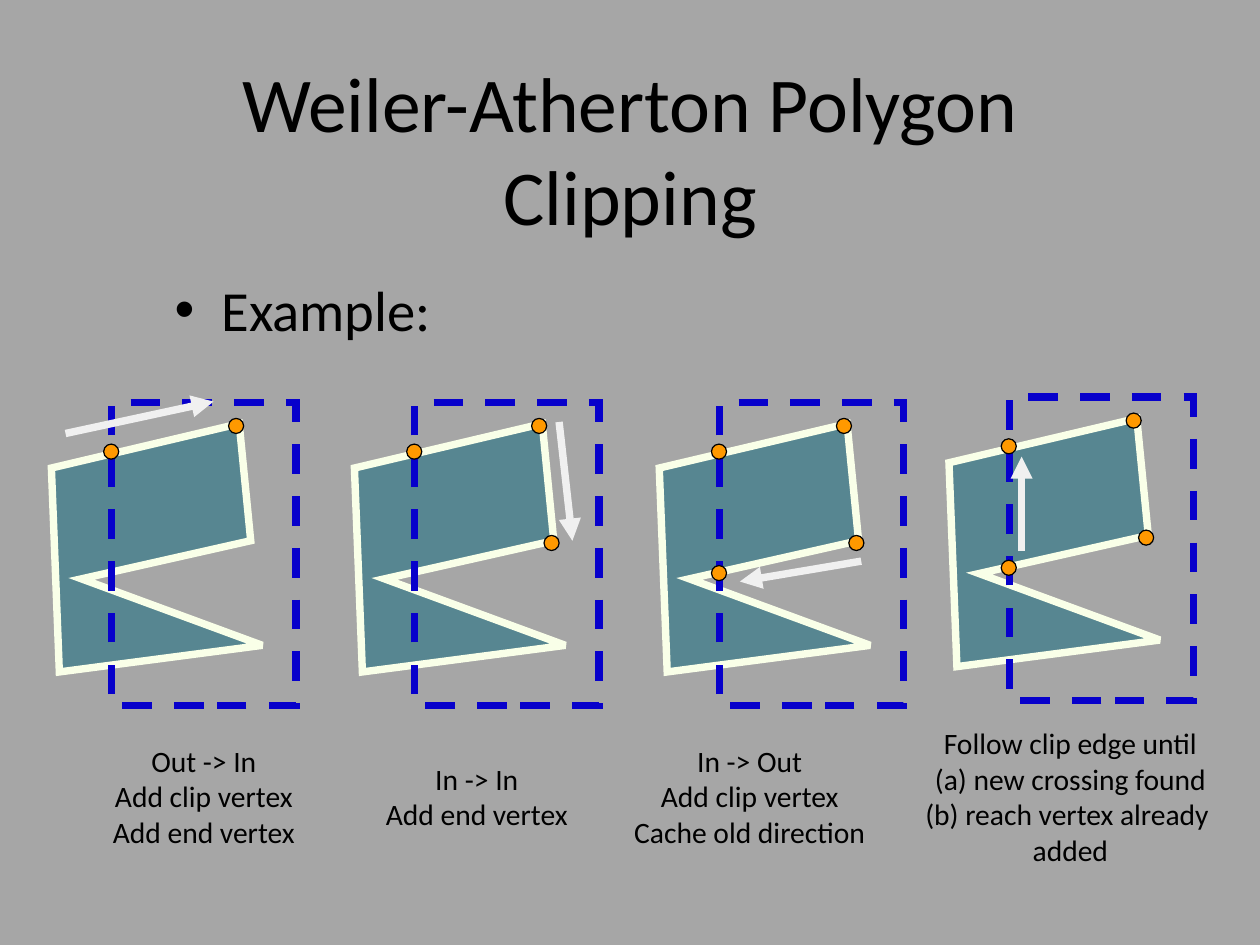
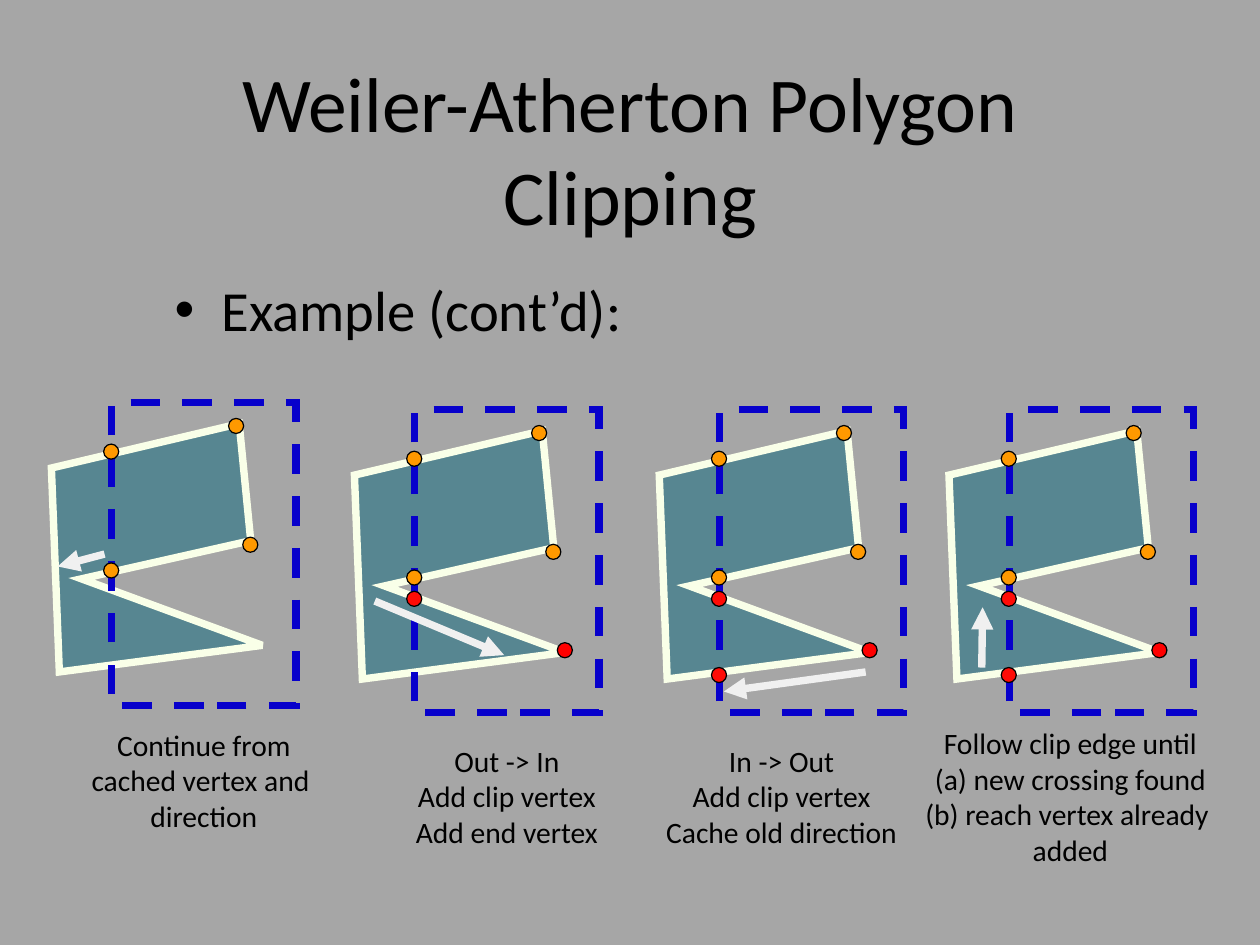
from dataclasses import dataclass

from pptx import Presentation, util as u
from pptx.dml.color import RGBColor
from pptx.enum import dml, shapes, text
from pptx.oxml.ns import qn
from lxml import etree

GREY = RGBColor(0xA6, 0xA6, 0xA6)
BLACK = RGBColor(0, 0, 0)
TEAL = RGBColor(0x57, 0x86, 0x91)
CREAM = RGBColor(0xF9, 0xFF, 0xE8)
BLUE = RGBColor(0x07, 0x00, 0xCB)
PALE = RGBColor(0xF0, 0xF0, 0xF0)
ORANGE = RGBColor(0xFF, 0x99, 0x00)
RED = RGBColor(0xFF, 0x0C, 0x06)
PURE_RED = RGBColor(0xFF, 0, 0)
FONT = "Calibri"

# All lengths are columns and rows of a square grid with ten cells to the inch.
CELL = u.Inches(0.1)
PAGE_COLUMNS, PAGE_ROWS = 142.2, 106.6
TEXT_LEFT, TEXT_WIDTH = 13.9, 114.4
PANEL_COLUMNS = (5.8, 40, 74.4, 107.1)

# Figure parts, measured from the top left corner of the polygon.
POLYGON = ((0, 5), (21.2, 0), (22.5, 13.2), (3.4, 17.5), (23.8, 25), (0.9, 28))
CLIP_WINDOW = (6.8, -2.4, 20.8, 34.2)
DOT_SIZE = 1.7
CLIP_EDGE = 6.75
LINE_HEIGHT = 4

Point = tuple[float, float]


@dataclass(frozen=True)
class Dot:
    column: float
    row: float
    color: RGBColor = ORANGE


@dataclass(frozen=True)
class Panel:
    """One step: the polygon's top row, its arrow, vertices found and caption."""
    row: float
    start: Point
    end: Point
    dot_count: int
    caption: str
    caption_center: float
    caption_width: float
    caption_middle: float = 89.8


@dataclass(frozen=True)
class Page:
    bullet: str
    dots: tuple[Dot, ...]
    panels: tuple[Panel, ...]


TITLE = "Weiler-Atherton Polygon Clipping"
OUT_IN = "Out -> In\vAdd clip vertex\nAdd end vertex"
IN_OUT = "In -> Out\nAdd clip vertex\nCache old direction"
FOLLOW = ("Follow clip edge until\n(a) new crossing found\n"
          "(b) reach vertex already \vadded")
FIRST_DOTS = (Dot(CLIP_EDGE, 3.15), Dot(20.85, 0.25))

PAGES = (
    Page("Example:",
         FIRST_DOTS + (Dot(22.25, 13.45), Dot(CLIP_EDGE, 16.85)),
         (Panel(47.8, (1.6, 1.1), (18.3, -2.5), 2, OUT_IN, 23, 23.8),
          Panel(47.8, (23.1, -0.2), (24.6, 13.2), 3,
                "In -> In\nAdd end vertex", 53.8, 23.8),
          Panel(47.8, (22.8, 15.5), (9.1, 17.8), 4, IN_OUT, 84.6, 30.1),
          Panel(47.2, (8.2, 15), (8.2, 4.3), 4, FOLLOW, 120.8, 37.7))),
    Page("Example (cont’d):",
         FIRST_DOTS + (Dot(22.45, 13.65), Dot(CLIP_EDGE, 16.55),
                       Dot(CLIP_EDGE, 18.95, RED), Dot(23.75, 24.75, PURE_RED),
                       Dot(CLIP_EDGE, 27.55, RED)),
         (Panel(47.8, (6, 14.7), (0.7, 16.1), 4,
                "Continue from\vcached vertex and \vdirection", 23, 29.4, 88),
          Panel(48.6, (2.3, 19.2), (16.9, 25.3), 6, OUT_IN, 57.2, 23.8),
          Panel(48.6, (23.3, 27.2), (7.3, 29.4), 7, IN_OUT, 88.2, 30.1),
          Panel(48.6, (3.7, 26.7), (3.8, 19.9), 7, FOLLOW, 120.8, 37.7))),
)


def cells(*counts: float) -> list[u.Emu]:
    return [u.Emu(round(count * CELL)) for count in counts]


def style_text(frame, size: float, align: text.PP_ALIGN) -> None:
    for para in frame.paragraphs:
        para.alignment = align
        for span in para.runs:
            span.font.size = u.Pt(size)
            span.font.name = FONT
            span.font.color.rgb = BLACK


def set_margins(frame, side: float, edge: float) -> None:
    frame.margin_left = frame.margin_right = u.Inches(side)
    frame.margin_top = frame.margin_bottom = u.Inches(edge)


def style_line(shape, color: RGBColor, width: float):
    shape.line.color.rgb = color
    shape.line.width = u.Pt(width)
    return shape.line._get_or_add_ln()


def style_shape(shape, fill: RGBColor | None, line: RGBColor,
                width: float) -> None:
    shape.shadow.inherit = False
    if fill is None:
        shape.fill.background()
        shape.line.dash_style = dml.MSO_LINE.DASH
    else:
        shape.fill.solid()
        shape.fill.fore_color.rgb = fill
    outline = style_line(shape, line, width)
    etree.SubElement(outline, qn("a:miter"), lim="800000")


def add_title(page) -> None:
    title = page.shapes.title
    title.left, title.top, title.width, title.height = cells(
        TEXT_LEFT, 2.8, TEXT_WIDTH, 27.8)
    frame = title.text_frame
    frame.text = TITLE
    frame.auto_size = text.MSO_AUTO_SIZE.NONE
    frame.vertical_anchor = text.MSO_ANCHOR.MIDDLE
    set_margins(frame, 0.14, 0.07)
    style_text(frame, 63, text.PP_ALIGN.CENTER)


def add_bullet(page, wording: str) -> None:
    box = page.shapes.add_textbox(*cells(TEXT_LEFT, 30.3, TEXT_WIDTH, 12.1))
    frame = box.text_frame
    frame.word_wrap = True
    frame.text = wording
    set_margins(frame, 0.14, 0.07)
    properties = frame.paragraphs[0]._p.get_or_add_pPr()
    properties.set("marL", str(u.Inches(0.97)))
    properties.set("indent", str(u.Inches(-0.53)))
    etree.SubElement(properties, qn("a:buFont"), typeface="Arial")
    etree.SubElement(properties, qn("a:buChar"), char="•")
    style_text(frame, 46, text.PP_ALIGN.LEFT)


def add_arrow(group, start: Point, end: Point) -> None:
    arrow = group.shapes.add_connector(
        shapes.MSO_CONNECTOR.STRAIGHT, *cells(*start, *end))
    outline = style_line(arrow, PALE, 6)
    etree.SubElement(outline, qn("a:tailEnd"), type="triangle")
    etree.SubElement(arrow._element.spPr, qn("a:effectLst"))


def add_caption(group, panel: Panel) -> None:
    line_count = len(panel.caption.splitlines())
    height = LINE_HEIGHT * line_count
    box = group.shapes.add_textbox(*cells(
        panel.caption_center - panel.caption_width / 2,
        panel.caption_middle - height / 2, panel.caption_width, height))
    frame = box.text_frame
    frame.text = panel.caption
    frame.word_wrap = False
    frame.auto_size = text.MSO_AUTO_SIZE.SHAPE_TO_FIT_TEXT
    frame.vertical_anchor = text.MSO_ANCHOR.MIDDLE
    set_margins(frame, 0, 0)
    style_text(frame, 24, text.PP_ALIGN.CENTER)


def add_panel(page, left: float, panel: Panel, dots: tuple[Dot, ...]) -> None:
    def place(point: Point) -> Point:
        return left + point[0], panel.row + point[1]

    group = page.shapes.add_group_shape()
    corners = [cells(*place(point)) for point in POLYGON]
    builder = group.shapes.build_freeform(*corners[0])
    builder.add_line_segments(corners[1:], close=True)
    style_shape(builder.convert_to_shape(), TEAL, CREAM, 6)

    column, row, width, height = CLIP_WINDOW
    window = group.shapes.add_shape(
        shapes.MSO_SHAPE.RECTANGLE,
        *cells(*place((column, row)), width, height))
    style_shape(window, None, BLUE, 6)

    add_arrow(group, place(panel.start), place(panel.end))
    for dot in dots[:panel.dot_count]:
        corner = place((dot.column - DOT_SIZE / 2, dot.row - DOT_SIZE / 2))
        circle = group.shapes.add_shape(
            shapes.MSO_SHAPE.OVAL, *cells(*corner, DOT_SIZE, DOT_SIZE))
        style_shape(circle, dot.color, BLACK, 1)
    add_caption(group, panel)


def main() -> None:
    deck = Presentation()
    deck.slide_width, deck.slide_height = cells(PAGE_COLUMNS, PAGE_ROWS)
    background = deck.slide_master.background.fill
    background.solid()
    background.fore_color.rgb = GREY
    title_only = deck.slide_layouts.get_by_name("Title Only")
    for content in PAGES:
        page = deck.slides.add_slide(title_only)
        add_title(page)
        add_bullet(page, content.bullet)
        for left, panel in zip(PANEL_COLUMNS, content.panels):
            add_panel(page, left, panel, content.dots)
    deck.save("out.pptx")


if __name__ == "__main__":
    main()
